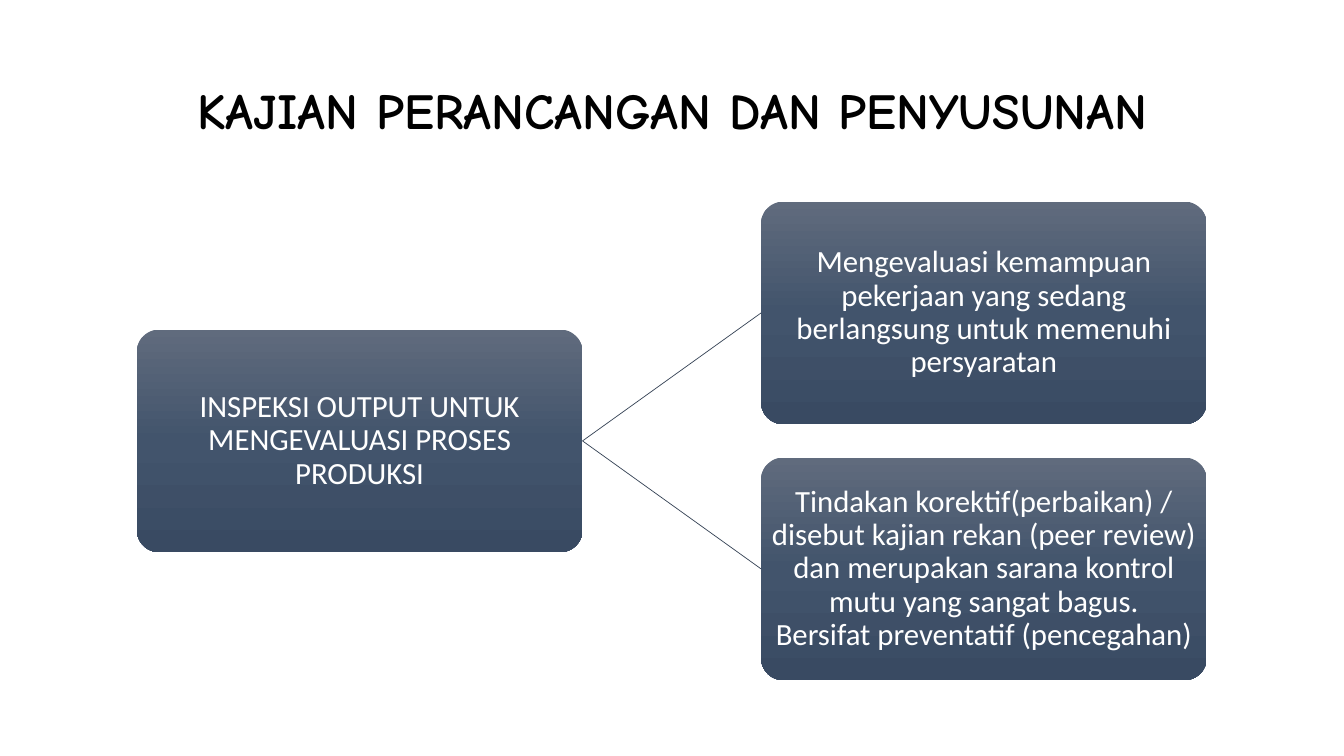
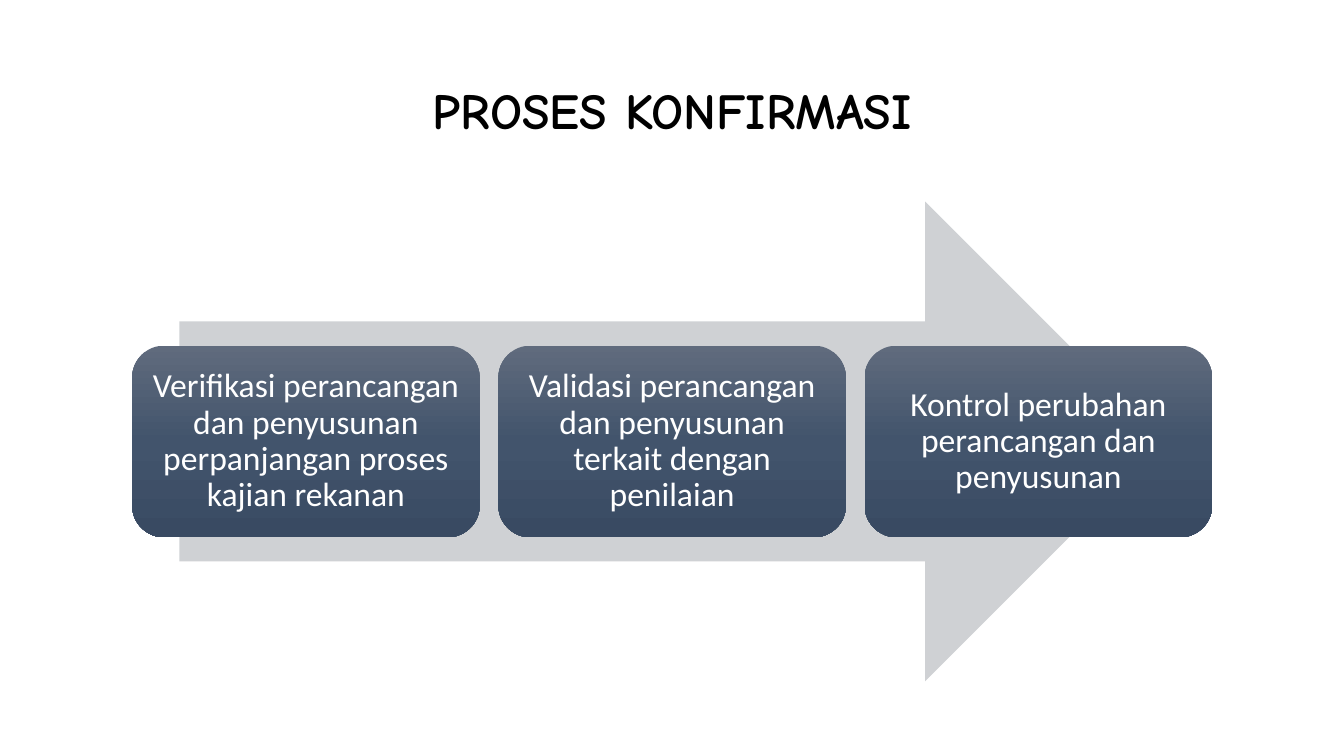
from copy import deepcopy
from dataclasses import dataclass

from lxml.etree import SubElement
from pptx import Presentation
from pptx.dml.color import RGBColor
from pptx.enum.shapes import MSO_CONNECTOR, MSO_SHAPE
from pptx.enum.text import MSO_ANCHOR, MSO_AUTO_SIZE, PP_ALIGN
from pptx.oxml.ns import qn
from pptx.util import Cm, Pt


@dataclass(frozen=True)
class Theme:
    head: str = "Comic Neue"
    body: str = "Calibri"
    ink: str = "000000"
    text: str = "FFFFFF"
    line: str = "364355"
    arrow: str = "CFD1D4"
    fade: tuple = ((0, "606B7D"), (0.5, "42546C"), (1, "394A62"))
    title: int = 36
    tree: int = 22
    step: int = 24


theme = Theme()
deck = Presentation()
deck.slide_width, deck.slide_height = Cm(33.87), Cm(19.05)


def write(frame, text, face, size, color, bold=False):
    """Fill a frame with centred text; a newline becomes a line break."""
    frame.word_wrap = True
    frame.auto_size = MSO_AUTO_SIZE.NONE
    frame.vertical_anchor = MSO_ANCHOR.MIDDLE
    para = frame.paragraphs[0]
    para.alignment = PP_ALIGN.CENTER
    para.line_spacing = 0.9
    for i, part in enumerate(text.split("\n")):
        if i:
            para.add_line_break()
        run = para.add_run()
        run.text = part
        font = run.font
        font.name, font.size, font.bold = face, Pt(size), bold
        font.color.rgb = RGBColor.from_string(color)


def add_box(slide, area, text, size, inset, round_by):
    """Add a rounded box with the shared three-stop gradient."""
    box = slide.shapes.add_shape(MSO_SHAPE.ROUNDED_RECTANGLE, *map(Cm, area))
    box.adjustments[0] = round_by
    box.shadow.inherit = False
    box.line.fill.background()
    box.fill.gradient()
    box.fill.gradient_angle = 270
    stops = box._element.spPr.find(".//" + qn("a:gsLst"))
    stops.insert(1, deepcopy(stops[0]))
    for stop, (place, color) in zip(box.fill.gradient_stops, theme.fade):
        stop.position = place
        stop.color.rgb = RGBColor.from_string(color)
    frame = box.text_frame
    frame.margin_left = frame.margin_right = Cm(inset)
    frame.margin_top = frame.margin_bottom = Cm(inset)
    write(frame, text, theme.body, size, theme.text)
    return box


# Titles
slides = []
for name in ("KAJIAN PERANCANGAN DAN PENYUSUNAN", "PROSES KONFIRMASI"):
    slide = deck.slides.add_slide(deck.slide_layouts[5])
    title = slide.shapes.title
    title.left, title.top = Cm(2.34), Cm(1.02)
    title.width, title.height = Cm(29.21), Cm(3.68)
    write(title.text_frame, name, theme.head, theme.title, theme.ink, True)
    slides.append(slide)
review, process = slides

# Review tree: one root, two branches
wide, high = 11.23, 5.61
top, pitch = 5.08, 6.45
look = (theme.tree, 0.05, 0.1)
root = add_box(review, (3.45, top + pitch / 2, wide, high),
               "INSPEKSI OUTPUT UNTUK MENGEVALUASI PROSES PRODUKSI", *look)
leaves = (
    "Mengevaluasi kemampuan pekerjaan yang sedang berlangsung untuk "
    "memenuhi persyaratan",
    "Tindakan korektif(perbaikan) / disebut kajian rekan (peer review) dan "
    "merupakan sarana kontrol mutu yang sangat bagus.\n"
    "Bersifat preventatif (pencegahan)",
)
for i, text in enumerate(leaves):
    leaf = add_box(review, (19.18, top + i * pitch, wide, high), text, *look)
    link = review.shapes.add_connector(MSO_CONNECTOR.STRAIGHT, 0, 0, 0, 0)
    link.begin_connect(root, 3)
    link.end_connect(leaf, 1)
    link.line.width = Pt(0.5)
    link.line.color.rgb = RGBColor.from_string(theme.line)
    SubElement(link._element.spPr, qn("a:effectLst"))

# Process: three steps centred on an arrow
tall, high = 12.09, 4.83
arrow = process.shapes.add_shape(
    MSO_SHAPE.RIGHT_ARROW, Cm(4.52), Cm(top), Cm(24.84), Cm(tall))
arrow.shadow.inherit = False
arrow.fill.solid()
arrow.fill.fore_color.rgb = RGBColor.from_string(theme.arrow)
arrow.line.fill.background()
steps = (
    "Verifikasi perancangan dan penyusunan perpanjangan proses kajian rekanan",
    "Validasi perancangan dan penyusunan terkait dengan penilaian",
    "Kontrol perubahan perancangan dan penyusunan",
)
for i, text in enumerate(steps):
    area = (3.33 + i * 9.23, top + (tall - high) / 2, 8.76, high)
    add_box(process, area, text, theme.step, 0.25, 0.1667)

deck.save("out.pptx")
